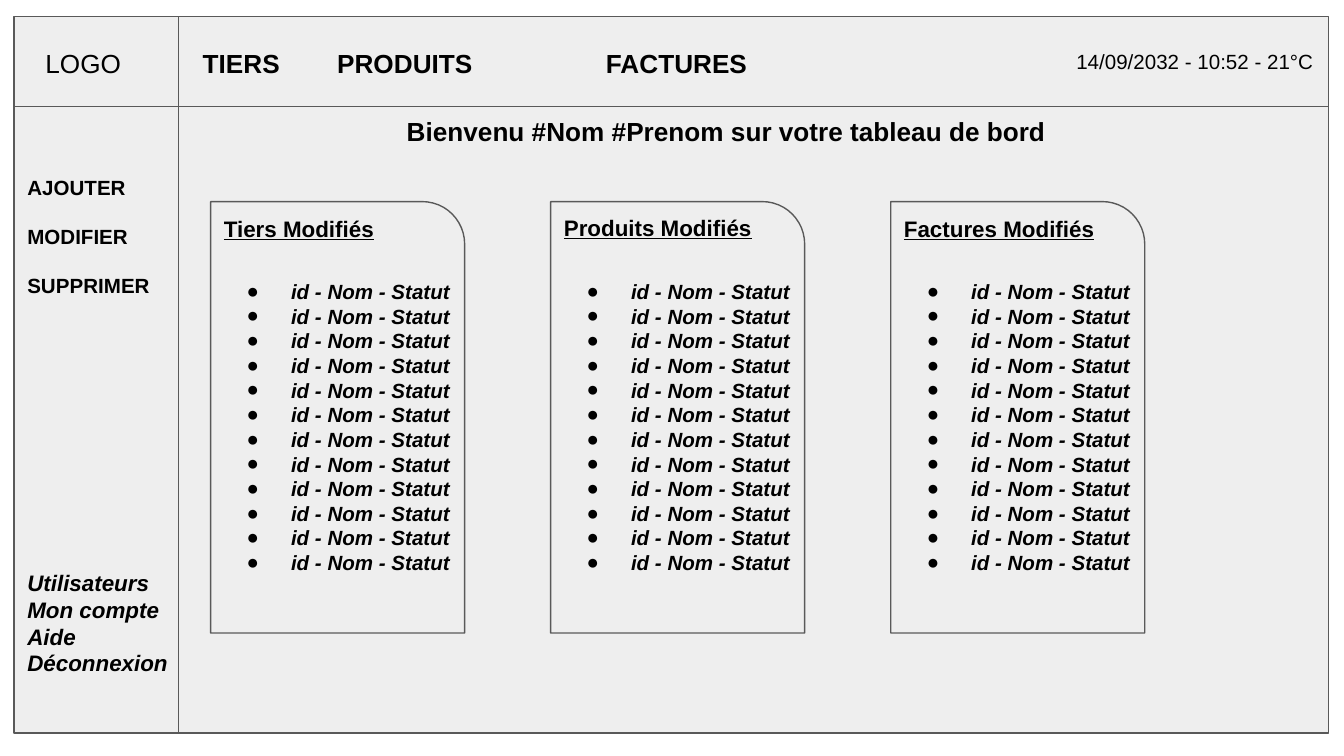
from lxml.etree import SubElement
from pptx import Presentation
from pptx.dml.color import RGBColor
from pptx.enum.shapes import MSO_SHAPE
from pptx.enum.text import MSO_ANCHOR, MSO_AUTO_SIZE, PP_ALIGN
from pptx.oxml.ns import qn
from pptx.util import Inches, Pt

BLACK = RGBColor(0x00, 0x00, 0x00)
PANEL = RGBColor(0xEE, 0xEE, 0xEE)
OUTLINE = RGBColor(0x59, 0x59, 0x59)
UNIT = 0.1  # inches per grid column and row
SLIDE_WIDTH = Inches(10)
SLIDE_HEIGHT = SLIDE_WIDTH * 9 // 16


class Dashboard:
    """Holds the style and the current slide; lengths are grid columns and rows."""

    font_name = "Arial"

    def __init__(self, slide):
        """Keep the slide that receives the elements."""
        self.slide = slide

    def box(self, left, top, width, height):
        """Turn grid units into lengths."""
        return [Inches(value * UNIT) for value in (left, top, width, height)]

    def panel(self, preset, left, top, width, height):
        """Add a grey outlined shape."""
        shape = self.slide.shapes.add_shape(preset, *self.box(left, top, width, height))
        shape.shadow.inherit = False
        shape.fill.solid()
        shape.fill.fore_color.rgb = PANEL
        shape.line.color.rgb = OUTLINE
        shape.line.width = Pt(0.75)
        return shape

    def text(self, text, left, top, width, height, size, bold=True, italic=False,
             underline=False, align=PP_ALIGN.LEFT, gap=0):
        """Add a text box, one paragraph per line, and return its paragraphs."""
        shape = self.slide.shapes.add_textbox(*self.box(left, top, width, height))
        frame = shape.text_frame
        frame.word_wrap = True
        frame.auto_size = MSO_AUTO_SIZE.SHAPE_TO_FIT_TEXT
        frame.vertical_anchor = MSO_ANCHOR.TOP
        frame.margin_left = frame.margin_right = Inches(UNIT)
        frame.margin_top = frame.margin_bottom = Inches(UNIT)
        frame.text = text
        for index, paragraph in enumerate(frame.paragraphs):
            paragraph.alignment = align
            paragraph.space_before = Pt(gap if index else 0)
            for run in paragraph.runs:
                font = run.font
                font.name, font.size = self.font_name, Pt(size)
                font.bold, font.italic, font.underline = bold, italic, underline
                font.color.rgb = BLACK
        return frame.paragraphs

    def tabbed(self, text, stops, *box, size):
        """Add a line of text whose parts start at the given tab stops."""
        paragraph = self.text(text, *box, size)[0]
        tab_list = SubElement(paragraph._p.get_or_add_pPr(), qn("a:tabLst"))
        for stop in stops:
            SubElement(tab_list, qn("a:tab"), pos=str(Inches(stop * UNIT)), algn="l")

    def bullets(self, lines, *box, size):
        """Add a bold italic bulleted list."""
        for paragraph in self.text("\n".join(lines), *box, size, italic=True):
            properties = paragraph._p.get_or_add_pPr()
            properties.set("marL", str(Inches(0.5)))
            properties.set("indent", str(Inches(-0.33)))
            color = SubElement(properties, qn("a:buClr"))
            SubElement(color, qn("a:srgbClr"), val=str(BLACK))
            SubElement(properties, qn("a:buFont"), typeface=self.font_name)
            SubElement(properties, qn("a:buChar"), char="●")

    def card(self, title, left, title_top):
        """Add a card with an underlined title and its list of entries."""
        width = 18.9
        shape = self.panel(MSO_SHAPE.ROUND_1_RECTANGLE, left, 15, width, 32.1)
        shape.adjustments[0] = 0.167
        self.text(title, left, title_top, width, 4, 12, underline=True)
        self.bullets(["id - Nom - Statut"] * 12, left, 19.75, width, 24.2, size=11)


def build():
    """Build the dashboard slide and save it."""
    presentation = Presentation()
    presentation.slide_width = SLIDE_WIDTH
    presentation.slide_height = SLIDE_HEIGHT
    slide = presentation.slides.add_slide(presentation.slide_layouts[6])
    dashboard = Dashboard(slide)

    dashboard.panel(MSO_SHAPE.FLOWCHART_INTERNAL_STORAGE, 1.05, 1.25, 97.8, 53.3)
    dashboard.tabbed("TIERS\tPRODUITS\tFACTURES", (10, 30), 14.1, 2.5, 60.1, 4.4, size=14)
    dashboard.text("LOGO", 2.4, 2.5, 9, 4.4, 14, bold=False)
    dashboard.text("AJOUTER\nMODIFIER\nSUPPRIMER", 1.05, 12, 11.7, 11.3, 11, gap=13.2)
    dashboard.text("Bienvenu #Nom #Prenom sur votre tableau de bord",
                   12.7, 7.6, 82.7, 4.4, 14, align=PP_ALIGN.CENTER)
    dashboard.text("14/09/2032 - 10:52 - 21°C", 79.1, 2.75, 19.7, 3.9, 11, bold=False)

    cards = (("Tiers Modifiés", 15), ("Produits Modifiés", 14.9), ("Factures Modifiés", 15))
    for index, (title, title_top) in enumerate(cards):
        dashboard.card(title, 15.67 + 25.3 * index, title_top)

    dashboard.text("Utilisateurs\nMon compte\nAide\nDéconnexion",
                   1.05, 41.33, 14.6, 10.1, 12, italic=True)
    presentation.save("out.pptx")


build()
